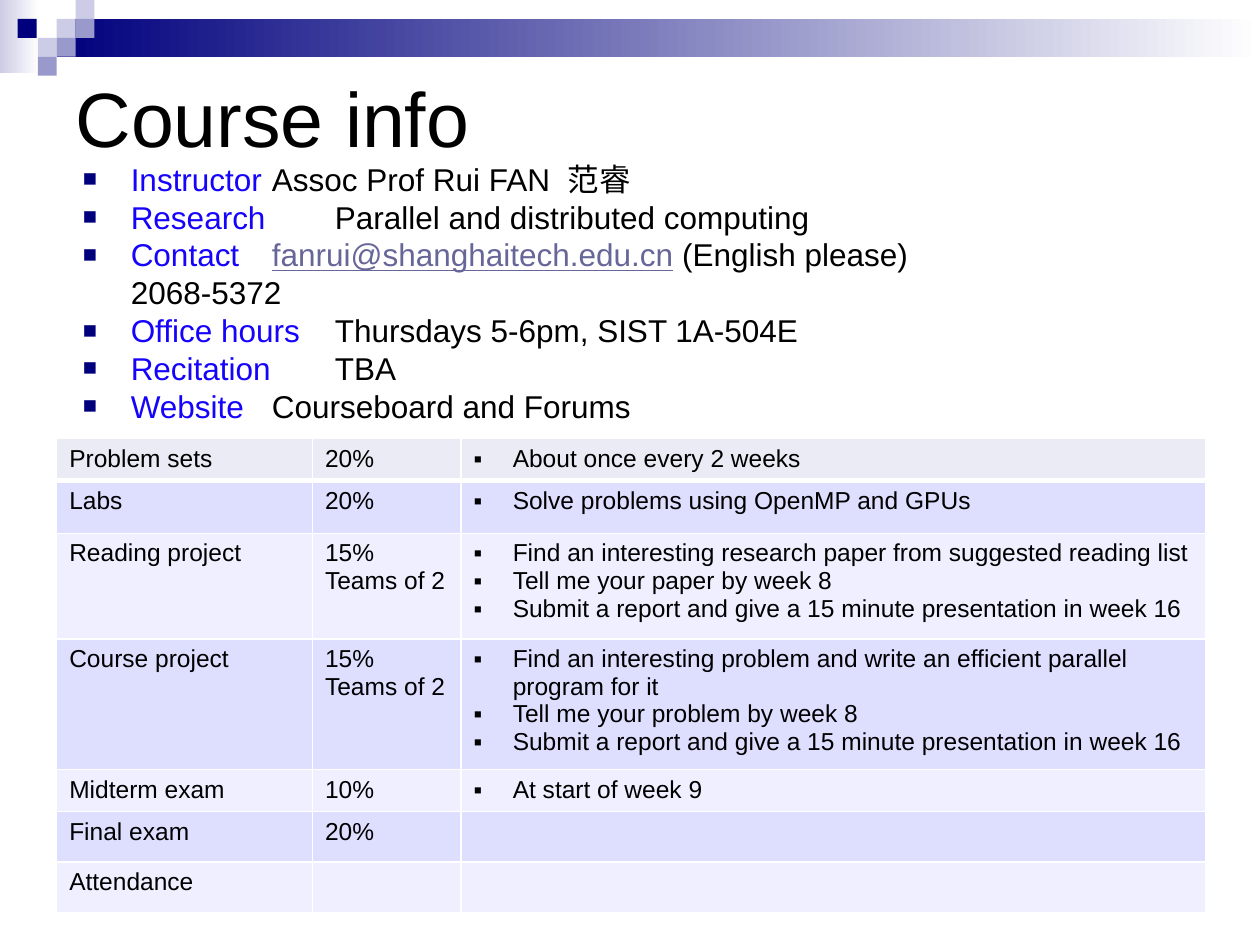
import pptx
import pptx.util
import pptx.dml.color
import pptx.enum.shapes
import pptx.enum.text
import pptx.oxml
import pptx.oxml.ns
from pptx.util import Inches

FONT, CJK_FONT = "Arial", "Noto Sans CJK SC"
BLACK, WHITE, NAVY = "000000", "FFFFFF", "00007D"
LABEL_BLUE, LINK = "1503FB", "666699"
PALE, MID = "CCCCE6", "9999CC"

# Content
TITLE = "Course info"
INFO = [  # label, then (text, colour) runs
    ("Instructor", [("Assoc Prof Rui FAN  ", BLACK), ("范睿", BLACK)]),
    ("Research", [("Parallel and distributed computing", BLACK)]),
    ("Contact", [("fanrui@shanghaitech.edu.cn", LINK),
                 (" (English please)", BLACK), ("2068-5372", BLACK)]),
    ("Office hours", [("Thursdays 5-6pm, SIST 1A-504E", BLACK)]),
    ("Recitation", [("TBA", BLACK)]),
    ("Website", [("Courseboard and Forums", BLACK)]),
]
OWN_LINE = "2068-5372"
REPORT = "Submit a report and give a 15 minute presentation in week 16"
GRADING = [  # row height, component, weight lines, notes
    (0.29, "Problem sets", ["20%"], ["About once every 2 weeks"]),
    (0.42, "Labs", ["20%"], ["Solve problems using OpenMP and GPUs"]),
    (0.84, "Reading project", ["15%", "Teams of 2"],
     ["Find an interesting research paper from suggested reading list",
      "Tell me your paper by week 8", REPORT]),
    (1.0, "Course project", ["15%", "Teams of 2"],
     ["Find an interesting problem and write an efficient parallel program for it",
      "Tell me your problem by week 8", REPORT]),
    (0.27, "Midterm exam", ["10%"], ["At start of week 9"]),
    (0.4, "Final exam", ["20%"], []),
    (0.4, "Attendance", [], []),
]
COLUMN_WIDTHS = [2.03, 1.18, 5.91]
HEADER_FILL, BAND_FILLS = "EBEBF5", ["EFEFFF", "DEDEFF"]
BANDS = [  # left, top, width, height, start colour
    (0, 0, 0.31, 0.58, PALE),
    (0.45, 0.15, 9.55, 0.3, NAVY),
]
SQUARE = 0.15
SQUARES = [(0.45, 0.15, PALE), (0.6, 0, PALE), (0.6, 0.15, MID), (0.3, 0.3, PALE),
           (0.14, 0.15, NAVY), (0.45, 0.3, MID), (0.3, 0.45, MID)]


def rgb(colour):
    return pptx.dml.color.RGBColor.from_string(colour)


def format_font(font, size, colour):
    font.name, font.size = FONT, pptx.util.Pt(size)
    font.color.rgb = rgb(colour)


def add_element(parent, tag, **attributes):
    element = pptx.oxml.ns.qn(tag)
    child = parent.makeelement(element, attributes)
    parent.append(child)
    return child


def add_bullet(paragraph, character, indent, colour=BLACK, percent=100):
    properties = paragraph._p.get_or_add_pPr()
    properties.set("marL", str(Inches(indent)))
    properties.set("indent", str(-Inches(indent)))
    add_element(add_element(properties, "a:buClr"), "a:srgbClr", val=colour)
    add_element(properties, "a:buSzPct", val=str(percent * 1000))
    add_element(properties, "a:buFont", typeface=FONT)
    add_element(properties, "a:buChar", char=character)


def add_rectangle(slide, left, top, width, height):
    shape = slide.shapes.add_shape(
        pptx.enum.shapes.MSO_SHAPE.RECTANGLE,
        Inches(left), Inches(top), Inches(width), Inches(height))
    shape.shadow.inherit = False
    shape.line.fill.background()
    return shape


def set_borders(cell, bottom_width):
    properties = cell._tc.get_or_add_tcPr()
    widths = {"a:lnL": 1, "a:lnR": 1, "a:lnT": 1, "a:lnB": bottom_width}
    for tag, width in widths.items():
        line = add_element(properties, tag, w=str(pptx.util.Pt(width)))
        add_element(add_element(line, "a:solidFill"), "a:srgbClr", val=WHITE)


def fill_cell(cell, lines, bulleted):
    cell.text_frame.text = "\n".join(lines)
    for paragraph in cell.text_frame.paragraphs:
        if bulleted and lines:
            add_bullet(paragraph, "▪", 0.31)
        format_font(paragraph.font, 14, BLACK)
        for run in paragraph.runs:
            format_font(run.font, 14, BLACK)


def add_decoration(slide):
    for *box, colour in BANDS:
        fill = add_rectangle(slide, *box).fill
        fill.gradient()
        fill.gradient_angle = 0
        for stop, stop_colour, position in zip(fill.gradient_stops, (colour, WHITE), (0, 1)):
            stop.color.rgb = rgb(stop_colour)
            stop.position = position
    for left, top, colour in SQUARES:
        fill = add_rectangle(slide, left, top, SQUARE, SQUARE).fill
        fill.solid()
        fill.fore_color.rgb = rgb(colour)


def add_title(slide):
    title = slide.shapes.title
    title.left, title.top = Inches(0.5), Inches(0.5)
    title.width, title.height = Inches(9), Inches(0.86)
    title.text_frame.text = TITLE
    title.text_frame.vertical_anchor = pptx.enum.text.MSO_ANCHOR.MIDDLE
    paragraph = title.text_frame.paragraphs[0]
    paragraph.alignment = pptx.enum.text.PP_ALIGN.LEFT
    format_font(paragraph.runs[0].font, 44, BLACK)


def add_info(slide):
    box = slide.shapes.add_textbox(Inches(0.56), Inches(1.22), Inches(9.03), Inches(2.16))
    frame = box.text_frame
    frame.word_wrap = True
    for index, (label, details) in enumerate(INFO):
        paragraph = frame.paragraphs[0] if index == 0 else frame.add_paragraph()
        add_bullet(paragraph, "■", 0.38, NAVY, 75)
        paragraph.line_spacing = pptx.util.Pt(21.6)
        for text, colour in [(label + " \t", LABEL_BLUE)] + details:
            if text == OWN_LINE:
                paragraph.add_line_break()
            run = paragraph.add_run()
            run.text = text
            format_font(run.font, 18, colour)
            if colour == LINK:
                run.font.underline = True
            if not text.isascii():
                add_element(run._r.get_or_add_rPr(), "a:ea", typeface=CJK_FONT)


def add_grading(slide):
    heights = [row[0] for row in GRADING]
    table = slide.shapes.add_table(
        len(GRADING), len(COLUMN_WIDTHS), Inches(0.45), Inches(3.48),
        Inches(sum(COLUMN_WIDTHS)), Inches(sum(heights))).table
    table.first_row = table.horz_banding = False
    for column, width in zip(table.columns, COLUMN_WIDTHS):
        column.width = Inches(width)
    for index, (height, component, weight, notes) in enumerate(GRADING):
        table.rows[index].height = Inches(height)
        colour = BAND_FILLS[index % 2] if index else HEADER_FILL
        for column, lines in enumerate([[component], weight, notes]):
            cell = table.cell(index, column)
            fill_cell(cell, lines, bulleted=column == 2)
            set_borders(cell, 1 if index else 3)
            cell.fill.solid()
            cell.fill.fore_color.rgb = rgb(colour)


def main():
    presentation = pptx.Presentation()
    presentation.slide_width, presentation.slide_height = Inches(10), Inches(7.5)
    slide = presentation.slides.add_slide(presentation.slide_layouts[5])
    add_decoration(slide)
    add_title(slide)
    add_info(slide)
    add_grading(slide)
    presentation.save("out.pptx")


if __name__ == "__main__":
    main()
